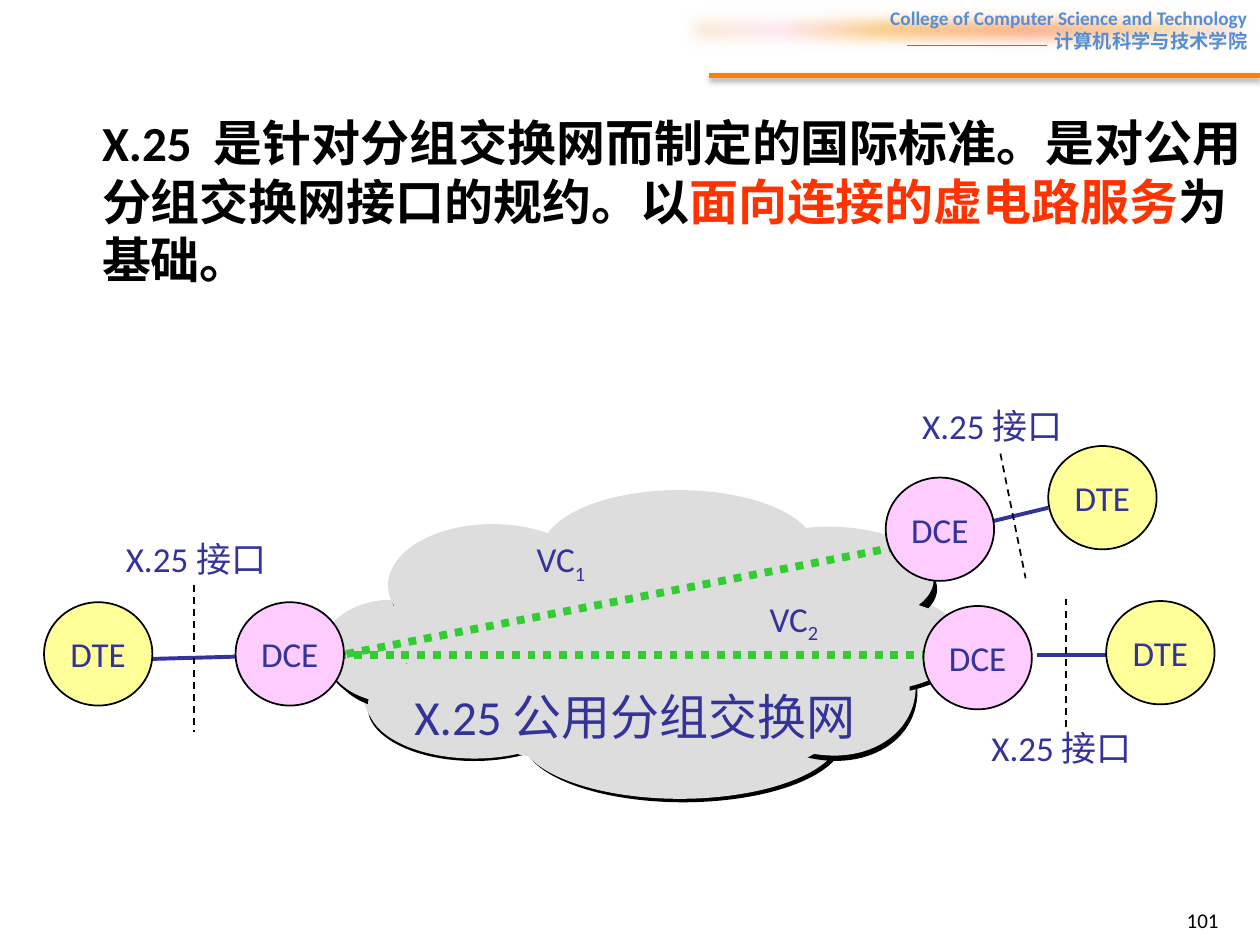
from dataclasses import dataclass
from lxml import etree
from pptx import Presentation
from pptx.dml.color import RGBColor
from pptx.enum.dml import MSO_LINE
from pptx.enum.shapes import MSO_CONNECTOR, MSO_SHAPE
from pptx.enum.text import MSO_ANCHOR, MSO_AUTO_SIZE, PP_ALIGN
from pptx.oxml.ns import qn
from pptx.util import Inches, Pt

LEFT, CENTER, RIGHT = PP_ALIGN.LEFT, PP_ALIGN.CENTER, PP_ALIGN.RIGHT
TOP, MIDDLE = MSO_ANCHOR.TOP, MSO_ANCHOR.MIDDLE
FIT, FIXED = MSO_AUTO_SIZE.SHAPE_TO_FIT_TEXT, MSO_AUTO_SIZE.NONE
ELLIPSE, RECTANGLE = MSO_SHAPE.OVAL, MSO_SHAPE.RECTANGLE
STRAIGHT = MSO_CONNECTOR.STRAIGHT
DASH, DOT = MSO_LINE.DASH, MSO_LINE.ROUND_DOT

COLORS = {
    "black": "000000", "navy": "333399", "red": "FF3300", "green": "33CC33",
    "cloud": "DDDDDD", "DTE": "FFFF99", "DCE": "FFCCFF",
    "header": "558ED5", "rule": "4B7EBC", "orange": "FF8000",
}
BANNER_STOPS = [(0, "FBEAC7"), (18, "FEE7F2"), (36, "FAC77D"),
                (61, "FBA97D"), (82, "FBD49C"), (100, "FEE7F2")]
NODE_WIDTH, NODE_HEIGHT = 0.86, 0.82


@dataclass
class Puff:
    left: float
    top: float
    width: float
    height: float
    distance: float = 5.4
    direction: float = 68
    rotation: float = 0


@dataclass
class Line:
    start: tuple[float, float]
    end: tuple[float, float]
    color: str = "navy"
    width: float = 2.25
    dash: MSO_LINE | None = None


@dataclass
class Node:
    name: str
    left: float
    top: float


@dataclass
class Run:
    text: str
    color: str = "navy"
    size: float = 20
    bold: bool = False
    subscript: bool = False


@dataclass
class Label:
    left: float
    top: float
    width: float
    height: float
    runs: list[Run]


PUFFS = [
    Puff(6.02, 4.69, 1.6, 0.75), Puff(4.12, 5.33, 2.55, 1.01, 2.8, 45),
    Puff(2.89, 5.12, 1.69, 0.85), Puff(2.56, 4.76, 1.11, 0.77),
    Puff(3.08, 4.16, 1.66, 0.97), Puff(4.3, 3.89, 2.18, 0.97),
    Puff(5.78, 4.18, 1.6, 0.75), Puff(3.47, 4.47, 3.29, 1.26),
    Puff(5.69, 4.71, 1.6, 1.26, 3.2, 72, 22.3), Puff(4.34, 3.94, 2.18, 0.97),
    Puff(3.11, 4.21, 1.66, 0.96), Puff(2.59, 4.81, 1.1, 0.77, 5, 53),
    Puff(5.81, 4.23, 1.6, 0.75), Puff(6.05, 4.74, 1.6, 0.75, 2.8, 45),
    Puff(3.51, 4.52, 3.29, 1.26), Puff(2.92, 5.17, 1.69, 0.85, 8.9, 333),
]
CLOUD_CORE = [
    (3.08, 5.06), (3.31, 4.91), (3.15, 4.92), (3.26, 4.84), (3.36, 4.77),
    (3.52, 4.61), (3.66, 4.56), (3.91, 4.46), (4.1, 4.37), (4.3, 4.34),
    (4.54, 4.28), (5.41, 4.34), (6.13, 4.56), (6.27, 4.62), (6.62, 4.77),
    (6.82, 4.87), (6.96, 4.98), (7.1, 5.13), (7.22, 5.33), (7.22, 5.64),
    (7.17, 5.72), (6.98, 5.78), (6.85, 5.84), (6.59, 5.94), (6.45, 5.99),
    (6.29, 6.08), (4.35, 6.03), (4.12, 5.99), (3.96, 5.84), (3.77, 5.68),
    (3.66, 5.56), (3.43, 5.4), (3.24, 5.27), (3.13, 5.15),
]
LINES = [
    Line((2.56, 5.2), (7.76, 5.2), "green", 4.5, DOT),
    Line((2.75, 5.19), (7.38, 4.29), "green", 4.5, DOT),
    Line((8.23, 5.2), (8.86, 5.2)),
    Line((7.74, 4.17), (8.32, 4.03)),
    Line((1.19, 5.23), (1.93, 5.21)),
    Line((8.46, 4.75), (8.46, 5.77), "black", 1, DASH),
    Line((7.94, 3.6), (8.14, 4.59), "black", 1, DASH),
    Line((1.54, 4.64), (1.54, 5.81), "black", 1, DASH),
]
NODES = [
    Node("DTE", 8.78, 4.77), Node("DTE", 8.32, 3.54), Node("DCE", 7.33, 4.81),
    Node("DCE", 7.03, 3.79), Node("DCE", 1.87, 4.78), Node("DTE", 0.35, 4.78),
]
LABELS = [
    Label(left, top, 1.4, 0.43, [Run("X.25 接口")])
    for left, top in [(7.77, 5.72), (7.22, 3.16), (0.9, 4.22)]
] + [
    Label(left, top, 0.69, 0.43, [Run("VC"), Run(number, subscript=True)])
    for left, top, number in [(6.01, 4.69, "2"), (4.16, 4.22, "1")]
] + [Label(3.19, 5.4, 3.83, 0.56, [Run("X.25 公用分组交换网", size=28)])]


def rgb(name: str) -> RGBColor:
    return RGBColor.from_string(COLORS[name])


def apply(target, values: dict) -> None:
    for name, value in values.items():
        setattr(target, name, value)


def add_effect(parent, kind: str, **attributes: int):
    effect = etree.SubElement(parent, qn(f"a:{kind}"))
    for name, value in attributes.items():
        effect.set(name, str(value))
    return effect


def add_shadow(effects, distance: float, direction: float,
               blur: float = 0, opacity: int = 100) -> None:
    shadow = add_effect(effects, "outerShdw", blurRad=Pt(blur), dist=Pt(distance),
                        dir=round(direction * 60000), rotWithShape=0)
    color = add_effect(shadow, "srgbClr", val=COLORS["black"])
    add_effect(color, "alpha", val=opacity * 1000)


def write(shape, paragraphs: list[list[Run]], align=LEFT, **frame_format) -> None:
    frame = shape.text_frame
    apply(frame, {"word_wrap": False, "auto_size": FIT,
                  "vertical_anchor": TOP} | frame_format)
    for index, runs in enumerate(paragraphs):
        paragraph = frame.add_paragraph() if index else frame.paragraphs[0]
        paragraph.alignment = align
        for item in runs:
            run = paragraph.add_run()
            run.text = item.text
            apply(run.font, {"name": "Calibri", "size": Pt(item.size), "bold": item.bold})
            run.font.color.rgb = rgb(item.color)
            if item.subscript:
                run.font._element.set("baseline", "-25000")


def add_ellipse(shapes, left: float, top: float, width: float, height: float, color: str):
    shape = shapes.add_shape(ELLIPSE, *map(Inches, (left, top, width, height)))
    shape.fill.solid()
    shape.fill.fore_color.rgb = rgb(color)
    shape.line.fill.background()
    shape.shadow.inherit = False
    return shape


def add_cloud(slide) -> None:
    shapes = slide.shapes.add_group_shape().shapes
    for puff in PUFFS:
        shape = add_ellipse(shapes, puff.left, puff.top, puff.width, puff.height, "cloud")
        shape.rotation = puff.rotation
        add_shadow(shape._element.spPr.find(qn("a:effectLst")), puff.distance, puff.direction)
    points = [(Inches(x), Inches(y)) for x, y in CLOUD_CORE]
    builder = shapes.build_freeform(*points[0])
    builder.add_line_segments(points[1:], close=True)
    core = builder.convert_to_shape()
    core.fill.solid()
    core.fill.fore_color.rgb = rgb("cloud")
    core.line.fill.background()
    core.shadow.inherit = False


def add_line(slide, line: Line):
    connector = slide.shapes.add_connector(STRAIGHT, *map(Inches, line.start + line.end))
    connector.line.color.rgb = rgb(line.color)
    apply(connector.line, {"width": Pt(line.width), "dash_style": line.dash})
    return add_effect(connector._element.spPr, "effectLst")


def add_node(slide, node: Node) -> None:
    shape = add_ellipse(slide.shapes, node.left, node.top, NODE_WIDTH, NODE_HEIGHT, node.name)
    shape.line.color.rgb = rgb("black")
    shape.line.width = Pt(1)
    write(shape, [[Run(node.name)]], CENTER, vertical_anchor=MIDDLE, auto_size=FIXED)


def add_label(slide, label: Label) -> None:
    box = slide.shapes.add_textbox(
        *map(Inches, (label.left, label.top, label.width, label.height)))
    write(box, [label.runs])


def add_header(slide) -> None:
    banner = slide.shapes.add_shape(RECTANGLE, *map(Inches, (5.33, 0, 4.67, 0.47)))
    banner.fill.gradient()
    banner.fill.gradient_angle = 0
    stops = banner._element.spPr.find(qn("a:gradFill")).find(qn("a:gsLst"))
    stops.clear()
    for position, color in BANNER_STOPS:
        add_effect(add_effect(stops, "gs", pos=position * 1000), "srgbClr", val=color)
    banner.line.fill.background()
    banner.shadow.inherit = False
    add_effect(banner._element.spPr.find(qn("a:effectLst")), "softEdge", rad=Pt(10))
    lines = ["College of Computer Science and Technology", "计算机科学与技术学院"]
    write(banner, [[Run(text, "header", 11, True)] for text in lines], RIGHT, word_wrap=True)
    add_line(slide, Line((7.2, 0.36), (8.31, 0.36), "rule", 0.75))
    effects = add_line(slide, Line((5.63, 0.6), (10, 0.6), "orange", 3))
    add_shadow(effects, 1.8, 90, 3.1, 35)


def main() -> None:
    presentation = Presentation()
    apply(presentation, {"slide_width": Inches(10), "slide_height": Inches(7.5)})
    slide = presentation.slides.add_slide(presentation.slide_layouts[5])
    title = slide.shapes.title
    apply(title, {"left": Inches(0.71), "top": Inches(0.84),
                  "width": Inches(9.29), "height": Inches(2.2)})
    write(title, [[
        Run("X.25  是针对分组交换网而制定的国际标准。是对公用分组交换网接口的规约。以",
            "black", 28, True),
        Run("面向连接的虚电路服务", "red", 28, True),
        Run("为基础。", "black", 28, True),
    ]], word_wrap=True, auto_size=FIXED)
    add_cloud(slide)
    for items, draw in [(LINES, add_line), (NODES, add_node), (LABELS, add_label)]:
        for item in items:
            draw(slide, item)
    add_header(slide)
    number = slide.shapes.add_textbox(*map(Inches, (7.44, 7.1, 2.33, 0.4)))
    write(number, [[Run("101", "black", 12)]], RIGHT,
          word_wrap=True, auto_size=FIXED, vertical_anchor=MIDDLE)
    presentation.save("out.pptx")


if __name__ == "__main__":
    main()
